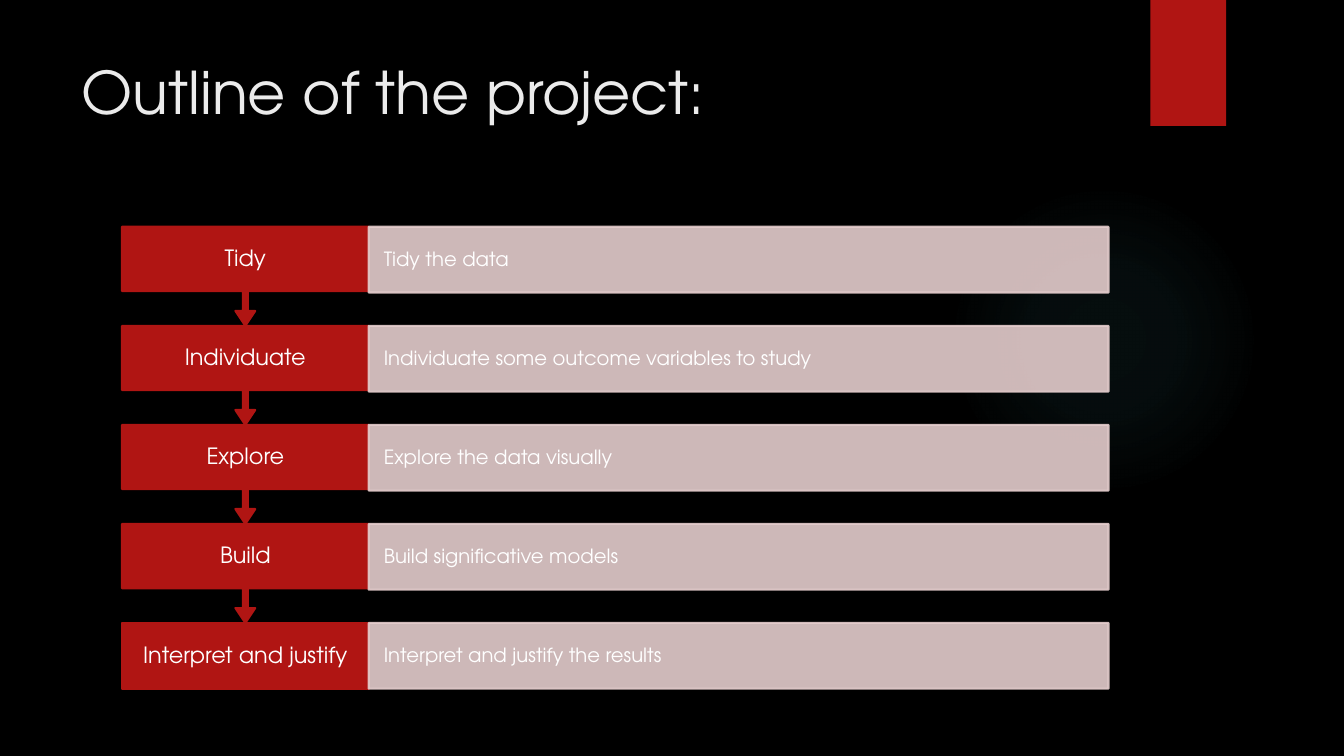
from lxml.etree import SubElement
from pptx import Presentation
from pptx.dml.color import RGBColor
from pptx.enum.shapes import MSO_SHAPE
from pptx.enum.text import MSO_ANCHOR, PP_ALIGN
from pptx.oxml import parse_xml
from pptx.oxml.ns import nsdecls, qn
from pptx.util import Inches, Pt

STEPS = [
    ("Tidy", "Tidy the data"),
    ("Individuate", "Individuate some outcome variables to study"),
    ("Explore", "Explore the data visually"),
    ("Build", "Build significative models"),
    ("Interpret and justify", "Interpret and justify the results"),
]

# Grid of the steps, in percent of the slide's width and height
GRID_LEFT, COLUMN = 9.08, 18.35
GRID_TOP, ROW, BOX_HEIGHT = 30, 13.1, 8.7


def color(hex_string):
    return RGBColor.from_string(hex_string)


class OutlineSlide:
    FONT = "TeX Gyre Adventor"
    BLACK, WHITE, TITLE = "000000", "FFFFFF", "EBEBEB"
    RED, PINK, GLOW = "B01513", "E4CCCC", "50B9C1"

    def __init__(self, presentation):
        self.width = presentation.slide_width
        self.height = presentation.slide_height
        self.slide = presentation.slides.add_slide(presentation.slide_layouts[5])
        fill = self.slide.background.fill
        fill.solid()
        fill.fore_color.rgb = color(self.BLACK)

    def area(self, left, top, width, height):
        """Turn percentages of the slide into lengths."""
        return (int(self.width * left / 100), int(self.height * top / 100),
                int(self.width * width / 100), int(self.height * height / 100))

    def set_text(self, shape, text, size, hex_string, alignment, anchor, insets):
        frame = shape.text_frame
        frame.text = text
        frame.word_wrap = True
        frame.vertical_anchor = anchor
        frame.margin_left = frame.margin_right = Inches(insets[0])
        frame.margin_top = frame.margin_bottom = Inches(insets[1])
        paragraph = frame.paragraphs[0]
        paragraph.alignment = alignment
        font = paragraph.runs[0].font
        font.name, font.size = self.FONT, Pt(size)
        font.color.rgb = color(hex_string)
        return paragraph

    def title(self, text, *area):
        shape = self.slide.shapes.title
        shape.left, shape.top, shape.width, shape.height = self.area(*area)
        self.set_text(shape, text, 42, self.TITLE, PP_ALIGN.LEFT, MSO_ANCHOR.TOP, (0.1, 0.05))

    def block(self, kind, hex_string, *area, alpha=100, outlined=True):
        shape = self.slide.shapes.add_shape(kind, *self.area(*area))
        shape.shadow.inherit = False
        shape.fill.solid()
        shape.fill.fore_color.rgb = color(hex_string)
        if outlined:
            shape.line.color.rgb = color(hex_string)
            shape.line.width = Pt(1.5)
        else:
            shape.line.fill.background()
        if alpha < 100:
            for element in shape._element.spPr.iter(qn("a:srgbClr")):
                SubElement(element, qn("a:alpha"), val=str(alpha * 1000))
        return shape

    def glow(self, stops, *area):
        shape = self.block(MSO_SHAPE.OVAL, self.GLOW, *area, outlined=False)
        stop_xml = "".join(
            f'<a:gs pos="{position * 1000}"><a:srgbClr val="{self.GLOW}">'
            f'<a:alpha val="{alpha * 1000}"/></a:srgbClr></a:gs>'
            for position, alpha in stops)
        gradient = parse_xml(
            f'<a:gradFill {nsdecls("a")}><a:gsLst>{stop_xml}</a:gsLst>'
            '<a:path path="circle"><a:fillToRect l="50000" t="50000" r="50000" b="50000"/>'
            '</a:path></a:gradFill>')
        properties = shape._element.spPr
        properties.replace(properties.find(qn("a:solidFill")), gradient)

    def step(self, row, name, description, is_last):
        top = GRID_TOP + row * ROW
        # Name box, with an arrow to the next step
        if is_last:
            box = self.block(MSO_SHAPE.RECTANGLE, self.RED, GRID_LEFT, top, COLUMN, BOX_HEIGHT)
        else:
            box = self.block(MSO_SHAPE.DOWN_ARROW_CALLOUT, self.RED,
                             GRID_LEFT, top, COLUMN, ROW)
            for index, value in enumerate((0.05, 0.1, 0.15, 0.65)):
                box.adjustments[index] = value
        # Description panel, three columns wide
        panel = self.block(MSO_SHAPE.RECTANGLE, self.PINK, GRID_LEFT + COLUMN, top,
                           3 * COLUMN, BOX_HEIGHT, alpha=90)
        for shape, text, size, alignment, insets in (
                (box, name, 16, PP_ALIGN.CENTER, (0.17, 0.12)),
                (panel, description, 14, PP_ALIGN.LEFT, (0.15, 0.19))):
            paragraph = self.set_text(shape, text, size, self.WHITE, alignment,
                                      MSO_ANCHOR.MIDDLE, insets)
            paragraph.line_spacing = 0.9


def main():
    presentation = Presentation()
    presentation.slide_width = Inches(13.33)
    presentation.slide_height = Inches(7.5)
    outline = OutlineSlide(presentation)

    # Background decoration
    outline.glow([(0, 7), (36, 6), (69, 0)], 70.6, 24.4, 23.1, 41.07)
    outline.block(MSO_SHAPE.RECTANGLE, outline.RED, 85.6, 0, 5.63, 16.67, outlined=False)

    # Title
    outline.title("Outline of the project:", 5.33, 6.67, 77.2, 20.4)

    # Steps, last one at the back so that each arrow tip lies on the next box
    last = len(STEPS) - 1
    for row in range(last, -1, -1):
        outline.step(row, *STEPS[row], is_last=row == last)

    presentation.save("out.pptx")


if __name__ == "__main__":
    main()
